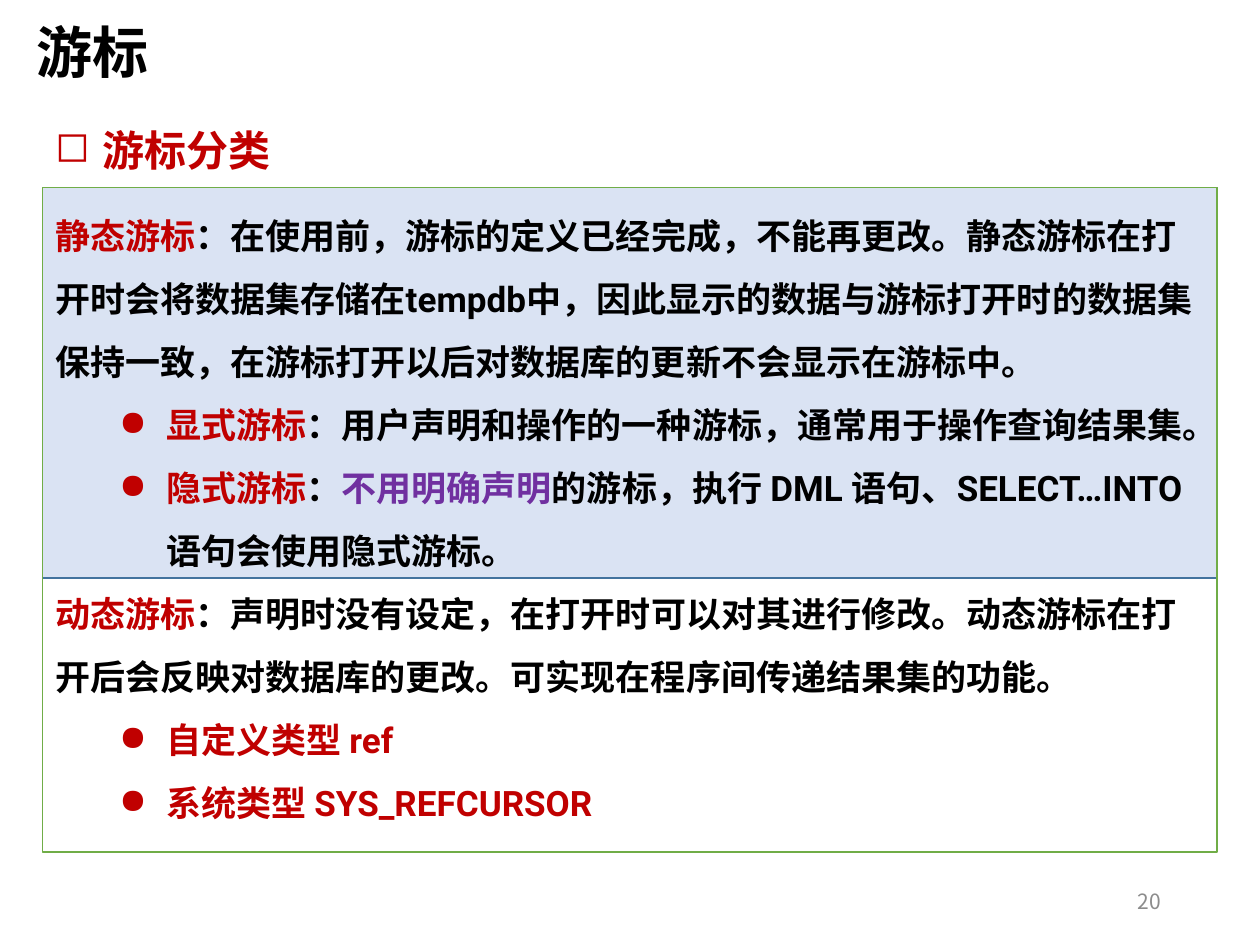
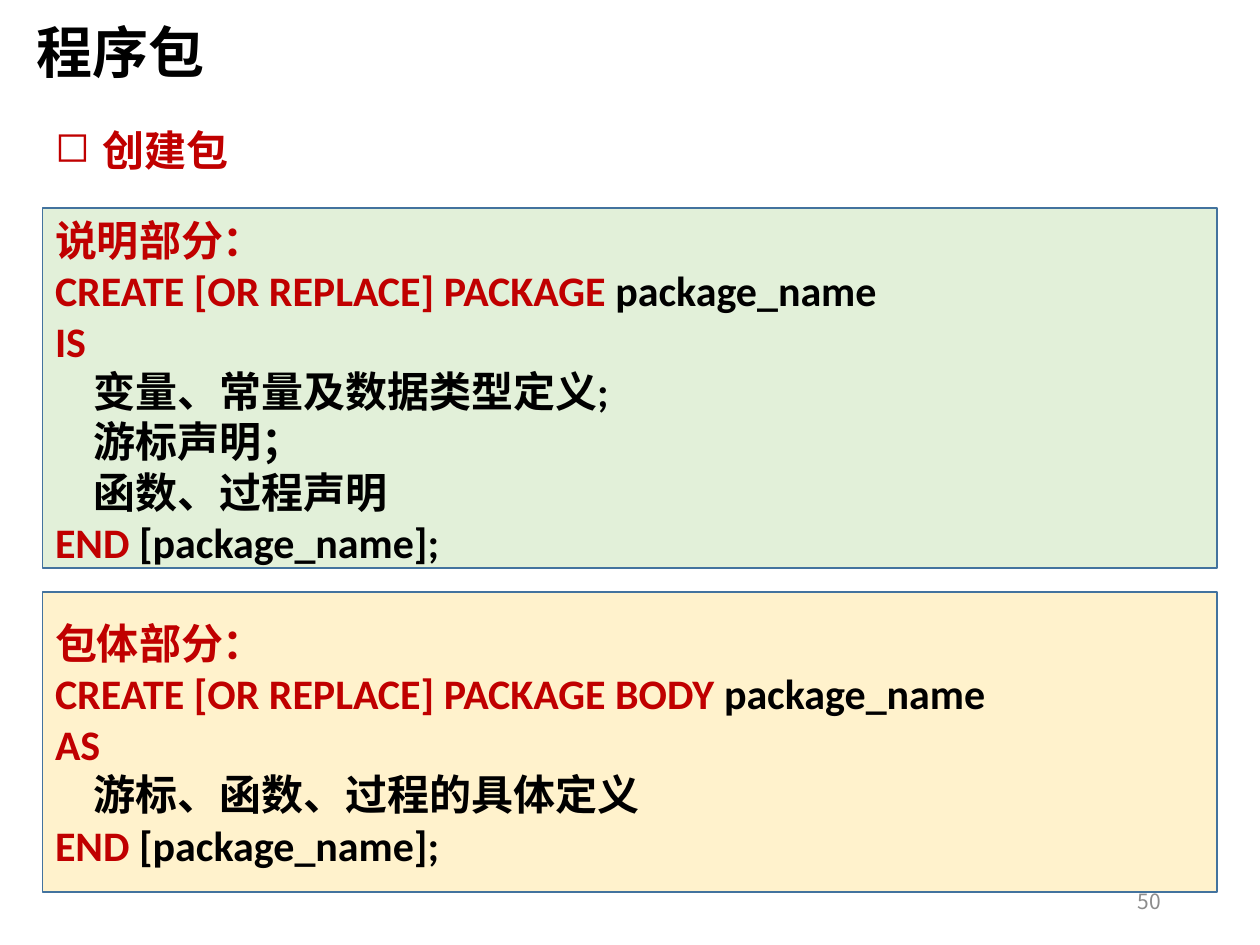
from lxml.etree import SubElement
from pptx import Presentation
from pptx.dml.color import RGBColor
from pptx.enum.shapes import MSO_SHAPE
from pptx.enum.text import MSO_ANCHOR, PP_ALIGN
from pptx.oxml.ns import qn
from pptx.util import Cm, Pt

RED = RGBColor(0xC0, 0x00, 0x00)
BLACK = RGBColor(0x00, 0x00, 0x00)
PURPLE = RGBColor(0x70, 0x30, 0xA0)
GRAY = RGBColor(0x8C, 0x8C, 0x8C)
BLUE_LINE = RGBColor(0x43, 0x73, 0x9E)
GREEN_LINE = RGBColor(0x70, 0xAD, 0x47)
PALE_BLUE = RGBColor(0xDA, 0xE3, 0xF3)
PALE_GREEN = RGBColor(0xE2, 0xF0, 0xD9)
PALE_YELLOW = RGBColor(0xFF, 0xF2, 0xCC)

CJK_FONT = "Noto Sans CJK SC"
BODY_FONT = "Roboto"
CODE_FONT = "Calibri"
LEFT, WIDTH = 0.86, 23.67
HANGING = 0.95
LINE_HEIGHT = 1.2


def write_text(frame, runs, *, size, font=CJK_FONT, bold=True, spacing=1,
               before=0, bullet=None, indent=0, align=PP_ALIGN.LEFT):
    """Write (text, colour) runs as the next paragraph of a text frame."""
    paragraph = frame.paragraphs[0]
    if paragraph.runs:
        paragraph = frame.add_paragraph()
    if bullet:
        properties = paragraph._p.get_or_add_pPr()
        properties.set("marL", str(Cm(indent)))
        properties.set("indent", str(-Cm(HANGING)))
        SubElement(properties, qn("a:buChar")).set("char", bullet)
    paragraph.alignment = align
    paragraph.line_spacing = Pt(size * LINE_HEIGHT * spacing)
    paragraph.space_before = Pt(before)
    for text, color in runs:
        run = paragraph.add_run()
        run.text = text
        run.font.size = Pt(size)
        run.font.bold = bold
        run.font.name = font
        run.font.color.rgb = color
        east_asian = SubElement(run._r.get_or_add_rPr(), qn("a:ea"))
        east_asian.set("typeface", CJK_FONT)


class Deck:
    def __init__(self):
        self.presentation = Presentation()
        self.presentation.slide_width = Cm(25.4)
        self.presentation.slide_height = Cm(19.05)
        self.slide = None

    def start_slide(self, title, heading, number):
        """Add a slide with its title, bulleted heading and page number."""
        layout = self.presentation.slide_layouts[6]
        self.slide = self.presentation.slides.add_slide(layout)
        frame = self.text_box(0.48, 0.23, 0.5 + 1.13 * len(title), 1.63, wrap=False)
        write_text(frame, [(title, BLACK)], size=32)
        frame = self.text_box(LEFT, 2.39, WIDTH, 1.27)
        write_text(frame, [(heading, RED)], size=24, bullet="◻", indent=HANGING)
        frame = self.text_box(17.93, 17.65, 5.72, 1.02, anchor=MSO_ANCHOR.MIDDLE)
        write_text(frame, [(number, GRAY)], size=12, bold=False, align=PP_ALIGN.RIGHT)

    def text_box(self, left, top, width, height, wrap=True, anchor=MSO_ANCHOR.TOP):
        box = self.slide.shapes.add_textbox(Cm(left), Cm(top), Cm(width), Cm(height))
        frame = box.text_frame
        frame.word_wrap = wrap
        frame.vertical_anchor = anchor
        return frame

    def panel(self, top, height, line, fill=None):
        """Draw a full-width rectangle and return its text frame."""
        shape = self.slide.shapes.add_shape(
            MSO_SHAPE.RECTANGLE, Cm(LEFT), Cm(top), Cm(WIDTH), Cm(height))
        shape.shadow.inherit = False
        shape.line.color.rgb = line
        shape.line.width = Pt(1)
        if fill is None:
            shape.fill.background()
        else:
            shape.fill.solid()
            shape.fill.fore_color.rgb = fill
        shape.text_frame.word_wrap = True
        shape.text_frame.vertical_anchor = MSO_ANCHOR.TOP
        return shape.text_frame


def add_cursor_slide(deck):
    deck.start_slide("游标", "游标分类", "20")
    deck.panel(3.78, 7.87, BLUE_LINE, PALE_BLUE)
    frame = deck.panel(3.78, 13.39, GREEN_LINE)
    body = {"size": 20, "font": BODY_FONT, "spacing": 1.5}
    item = {**body, "bullet": "●", "indent": 2.24}
    write_text(frame, [
        ("静态游标", RED),
        ("：在使用前，游标的定义已经完成，不能再更改。静态游标在打开时会将数据集存储在"
         "tempdb中，因此显示的数据与游标打开时的数据集保持一致，"
         "在游标打开以后对数据库的更新不会显示在游标中。", BLACK)], **body)
    write_text(frame, [
        ("显式游标", RED),
        ("：用户声明和操作的一种游标，通常用于操作查询结果集。", BLACK)], **item)
    write_text(frame, [
        ("隐式游标", RED), ("：", BLACK), ("不用明确声明", PURPLE),
        ("的游标，执行 DML 语句、SELECT…INTO 语句会使用隐式游标。", BLACK)], **item)
    write_text(frame, [
        ("动态游标", RED),
        ("：声明时没有设定，在打开时可以对其进行修改。动态游标在打开后会反映对数据库的更改。"
         "可实现在程序间传递结果集的功能。", BLACK)], **body)
    for cursor_type in ("自定义类型 ref", "系统类型 SYS_REFCURSOR"):
        write_text(frame, [(cursor_type, RED)], **item)


def add_package_slide(deck):
    deck.start_slide("程序包", "创建包", "50")
    deck.panel(11.94, 6.05, BLUE_LINE, PALE_YELLOW)
    deck.panel(4.19, 7.26, BLUE_LINE, PALE_GREEN)
    frame = deck.text_box(LEFT, 3.94, WIDTH, 13.97, anchor=MSO_ANCHOR.MIDDLE)
    sections = [
        ("说明部分：", "CREATE [OR REPLACE] PACKAGE ", "IS",
         ["变量、常量及数据类型定义;", "游标声明；", "函数、过程声明"]),
        ("包体部分：", "CREATE [OR REPLACE] PACKAGE BODY ", "AS",
         ["游标、函数、过程的具体定义"]),
    ]
    size = 24
    for index, (label, create, opening, declarations) in enumerate(sections):
        write_text(frame, [(label, RED)], size=size,
                   before=index * size * LINE_HEIGHT)
        code_lines = [
            [(create, RED), ("package_name", BLACK)],
            [(opening, RED)],
            *([("    " + declaration, BLACK)] for declaration in declarations),
            [("END", RED), (" [package_name];", BLACK)],
        ]
        for runs in code_lines:
            write_text(frame, runs, size=size, font=CODE_FONT)


def main():
    deck = Deck()
    add_cursor_slide(deck)
    add_package_slide(deck)
    deck.presentation.save("out.pptx")


if __name__ == "__main__":
    main()
